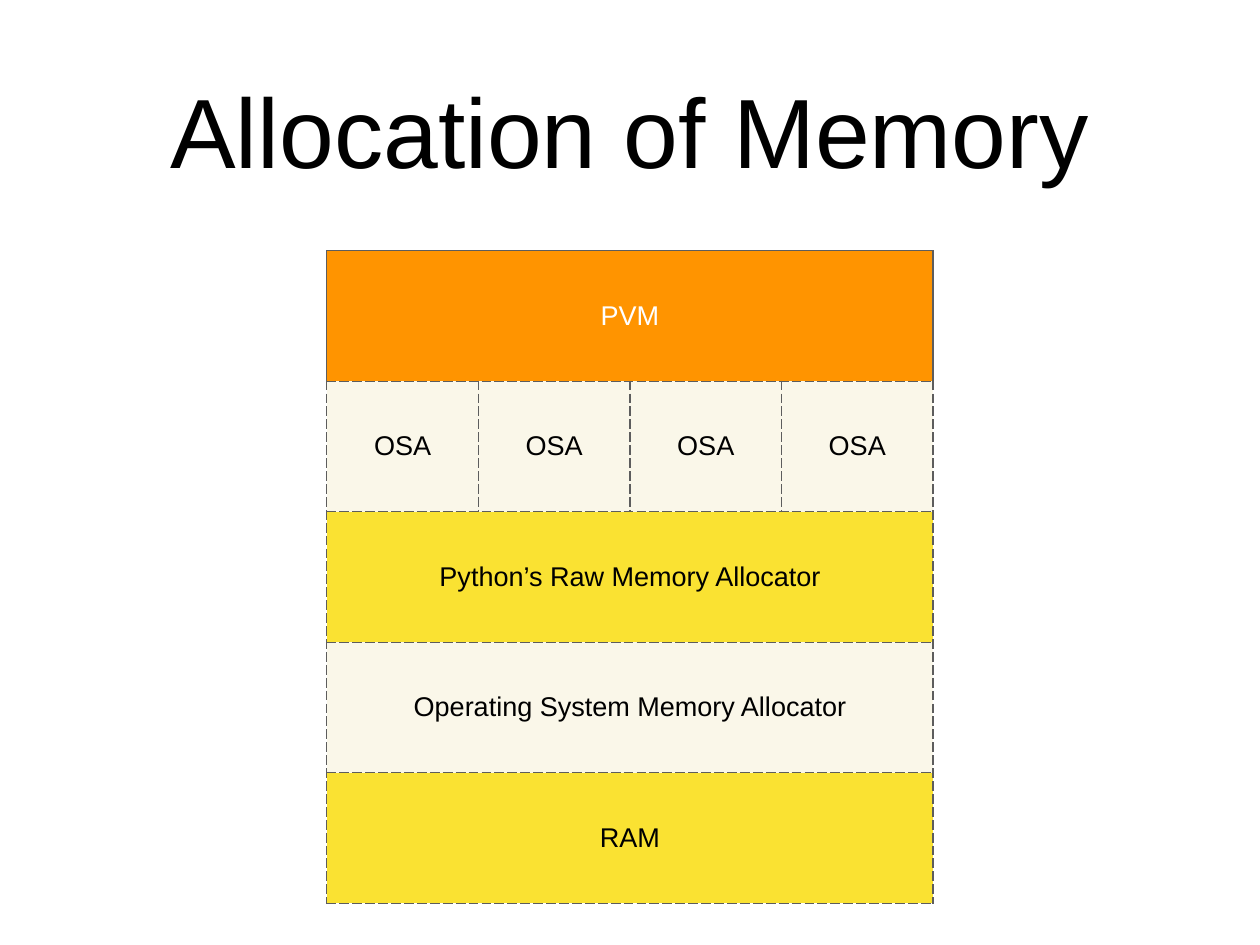
from lxml import etree
from pptx import Presentation, util as u
from pptx.dml.color import RGBColor
from pptx.enum import text
from pptx.oxml import ns

WIDTH, HEIGHT = 14.22, 10.67
COLS = 4
COL_W, ROW_H = 1.71, 1.474
INSET = u.Inches(0.06)
CREAM, YELLOW, ORANGE = "FAF7E9", "FAE232", "FF9400"
BLACK, WHITE, GREY = "000000", "FFFFFF", "5D5D5D"

# Layers from top to bottom: labels, fill, text colour
LAYERS = [
    (["PVM"], ORANGE, WHITE),
    (["OSA"] * COLS, CREAM, BLACK),
    (["Python’s Raw Memory Allocator"], YELLOW, BLACK),
    (["Operating System Memory Allocator"], CREAM, BLACK),
    (["RAM"], YELLOW, BLACK),
]


def rgb(value):
    return RGBColor.from_string(value)


def write(tf, label, size, color):
    p = tf.paragraphs[0]
    p.alignment = text.PP_ALIGN.CENTER
    r = p.add_run()
    r.text = label
    r.font.size = u.Pt(size)
    r.font.name = "Arial"
    r.font.color.rgb = rgb(color)


def set_insets(box):
    box.margin_left = box.margin_right = INSET
    box.margin_top = box.margin_bottom = INSET
    box.vertical_anchor = text.MSO_ANCHOR.MIDDLE


def add_title(s, label):
    sp = s.shapes.add_textbox(u.Inches(1.04), u.Inches(0.28),
                              u.Inches(12.14), u.Inches(2.36))
    tf = sp.text_frame
    tf.word_wrap = True
    set_insets(tf)
    write(tf, label, 80, BLACK)


def set_borders(cell, solid_sides):
    # Border lines come before the fill in the cell properties
    tc_pr = cell._tc.get_or_add_tcPr()
    for i, side in enumerate("LRTB"):
        ln = etree.Element(ns.qn(f"a:ln{side}"), w=str(u.Pt(1)))
        fill = etree.SubElement(ln, ns.qn("a:solidFill"))
        etree.SubElement(fill, ns.qn("a:srgbClr"), val=GREY)
        dash = "solid" if side in solid_sides else "dash"
        etree.SubElement(ln, ns.qn("a:prstDash"), val=dash)
        tc_pr.insert(i, ln)


def add_layers(s):
    rows = len(LAYERS)
    width, height = u.Inches(COLS * COL_W), u.Inches(rows * ROW_H)
    left = (u.Inches(WIDTH) - width) // 2
    table = s.shapes.add_table(rows, COLS, left, u.Inches(2.83),
                               width, height).table
    table.first_row = table.horz_banding = False
    for row, (labels, fill, color) in enumerate(LAYERS):
        for col in range(COLS):
            cell = table.cell(row, col)
            cell.fill.solid()
            cell.fill.fore_color.rgb = rgb(fill)
            set_insets(cell)
            set_borders(cell, "LRT" if row == 0 else "")
        if len(labels) == 1:
            table.cell(row, 0).merge(table.cell(row, COLS - 1))
        for col, label in enumerate(labels):
            write(table.cell(row, col).text_frame, label, 22, color)


def main():
    prs = Presentation()
    prs.slide_width, prs.slide_height = u.Inches(WIDTH), u.Inches(HEIGHT)
    s = prs.slides.add_slide(prs.slide_layouts[6])
    add_title(s, "Allocation of Memory")
    add_layers(s)
    prs.save("out.pptx")


if __name__ == "__main__":
    main()
